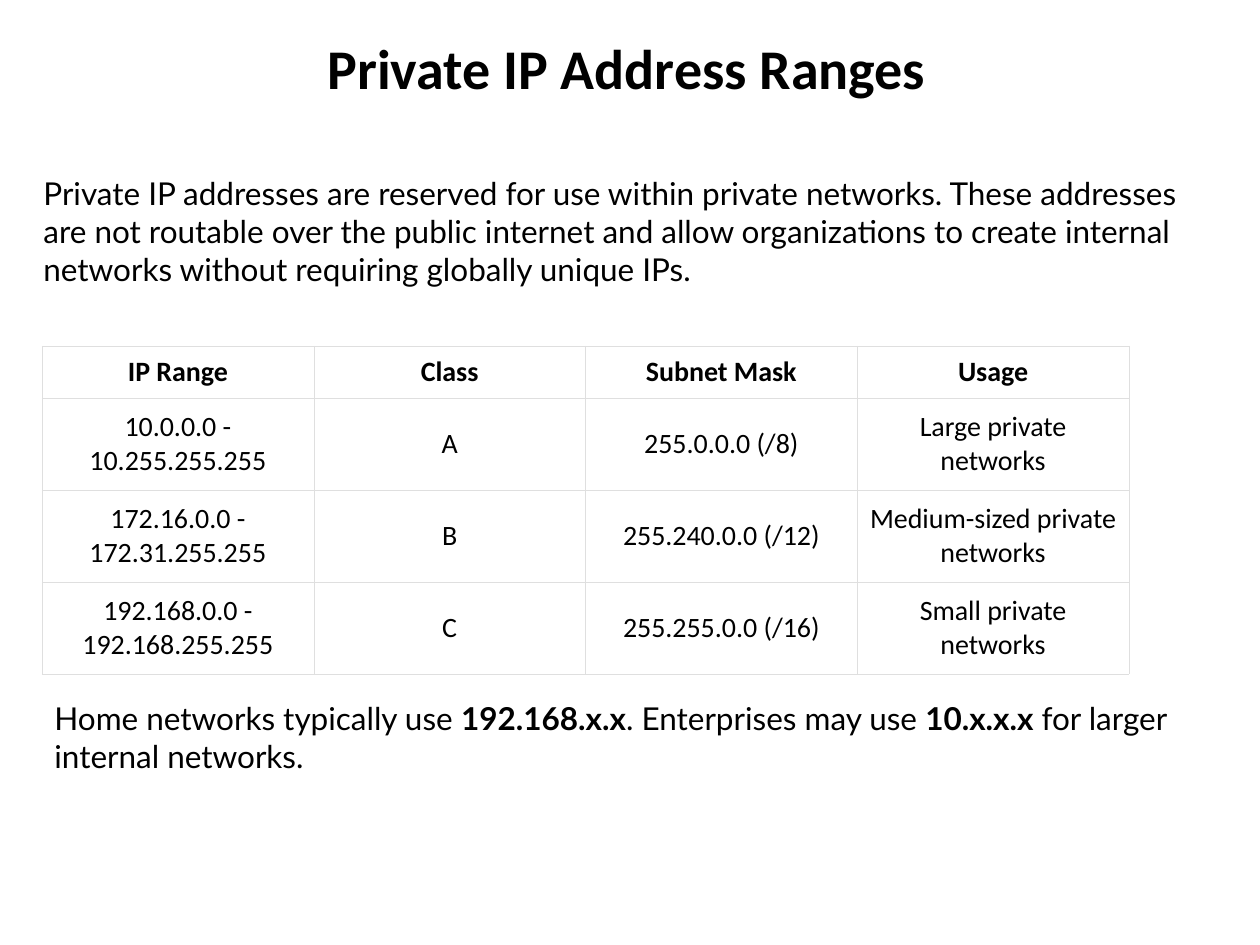
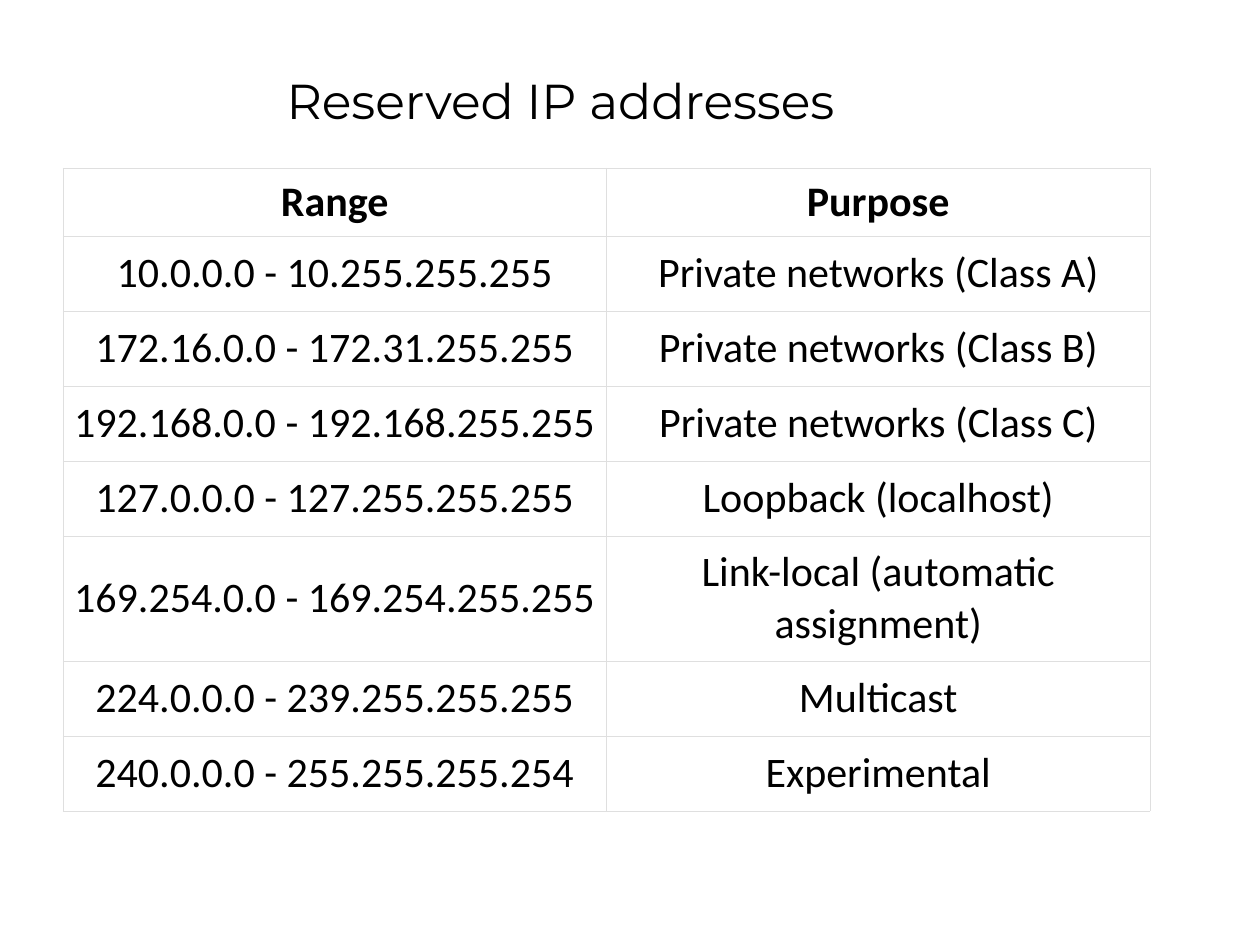
from lxml import etree
from pptx import Presentation, util as u
from pptx.dml.color import RGBColor
from pptx.enum import text as t
from pptx.oxml import ns

SCALE = 914400 / 126
INK, PAPER, RULE = "000000", "FFFFFF", "DFDFDF"
CLASS_A = "10.0.0.0 - 10.255.255.255"
CLASS_B = "172.16.0.0 - 172.31.255.255"
CLASS_C = "192.168.0.0 - 192.168.255.255"


def px(n):
    return u.Emu(round(n * SCALE))


def hue(code):
    return RGBColor.from_string(code)


def style(font, face, size, bold=False):
    font.name, font.size, font.bold = face, u.Pt(size), bold
    font.color.rgb = hue(INK)


def add_page(deck, words, box, face, size, bold=False):
    page = deck.slides.add_slide(deck.slide_layouts[5])
    page.background.fill.solid()
    page.background.fill.fore_color.rgb = hue(PAPER)
    title = page.shapes.title
    title.left, title.top, title.width, title.height = map(px, box)
    frame = title.text_frame
    frame.text = words
    frame.vertical_anchor = t.MSO_ANCHOR.MIDDLE
    para = frame.paragraphs[0]
    para.alignment = t.PP_ALIGN.LEFT
    para.line_spacing = 0.9
    style(para.runs[0].font, face, size, bold)
    return page


def add_note(page, box, parts):
    frame = page.shapes.add_textbox(*map(px, box)).text_frame
    frame.word_wrap = True
    frame.auto_size = t.MSO_AUTO_SIZE.SHAPE_TO_FIT_TEXT
    for i, words in enumerate(parts):
        run = frame.paragraphs[0].add_run()
        run.text = words
        style(run.font, "Lato", 18, i % 2 == 1)


def add_edges(cell):
    props = cell._tc.get_or_add_tcPr()
    for side in ("lnL", "lnR", "lnT", "lnB"):
        line = etree.SubElement(props, ns.qn(f"a:{side}"), w=str(u.Pt(0.06)))
        fill = etree.SubElement(line, ns.qn("a:solidFill"))
        etree.SubElement(fill, ns.qn("a:srgbClr"), val=RULE)


def fill_cell(cell, words, size, bold):
    cell.text = words
    cell.vertical_anchor = t.MSO_ANCHOR.MIDDLE
    cell.margin_left = cell.margin_right = px(9)
    cell.margin_top = cell.margin_bottom = px(6)
    add_edges(cell)
    cell.fill.solid()
    cell.fill.fore_color.rgb = hue(PAPER)
    para = cell.text_frame.paragraphs[0]
    para.alignment = t.PP_ALIGN.CENTER
    style(para.runs[0].font, "Calibri", size, bold)


def add_grid(page, left, top, width, highs, rows, size):
    cols = len(rows[0])
    box = map(px, (left, top, width, sum(highs)))
    grid = page.shapes.add_table(len(rows), cols, *box).table
    grid.first_row = grid.horz_banding = False
    for col in grid.columns:
        col.width = px(width / cols)
    for r, (high, row) in enumerate(zip(highs, rows)):
        grid.rows[r].height = px(high)
        for c, words in enumerate(row):
            fill_cell(grid.cell(r, c), words, size, r == 0)


def private_page(deck):
    page = add_page(deck, "Private IP Address Ranges", (315, 19, 858, 105),
                    "Calibri", 32, True)
    add_note(page, (31, 168, 1176, 126), [
        "Private IP addresses are reserved for use within private networks. "
        "These addresses are not routable over the public internet and allow "
        "organizations to create internal networks without requiring "
        "globally unique IPs."])
    add_grid(page, 42, 346, 1087, [52] + [92] * 3, [
        ("IP Range", "Class", "Subnet Mask", "Usage"),
        (CLASS_A, "A", "255.0.0.0 (/8)", "Large private networks"),
        (CLASS_B, "B", "255.240.0.0 (/12)", "Medium-sized private networks"),
        (CLASS_C, "C", "255.255.0.0 (/16)", "Small private networks")], 16)
    add_note(page, (42, 693, 1176, 88), [
        "Home networks typically use ", "192.168.x.x",
        ". Enterprises may use ", "10.x.x.x",
        " for larger internal networks."])


def reserved_page(deck):
    page = add_page(deck, "Reserved IP addresses", (274, 50, 901, 107),
                    "Montserrat", 28)
    add_grid(page, 63, 168, 1087, [68] + [75] * 4 + [125] + [75] * 2, [
        ("Range", "Purpose"),
        (CLASS_A, "Private networks (Class A)"),
        (CLASS_B, "Private networks (Class B)"),
        (CLASS_C, "Private networks (Class C)"),
        ("127.0.0.0 - 127.255.255.255", "Loopback (localhost)"),
        ("169.254.0.0 - 169.254.255.255", "Link-local (automatic assignment)"),
        ("224.0.0.0 - 239.255.255.255", "Multicast"),
        ("240.0.0.0 - 255.255.255.254", "Experimental")], 24)


def main():
    deck = Presentation()
    deck.slide_width, deck.slide_height = px(1260), px(945)
    private_page(deck)
    reserved_page(deck)
    deck.save("out.pptx")


if __name__ == "__main__":
    main()
